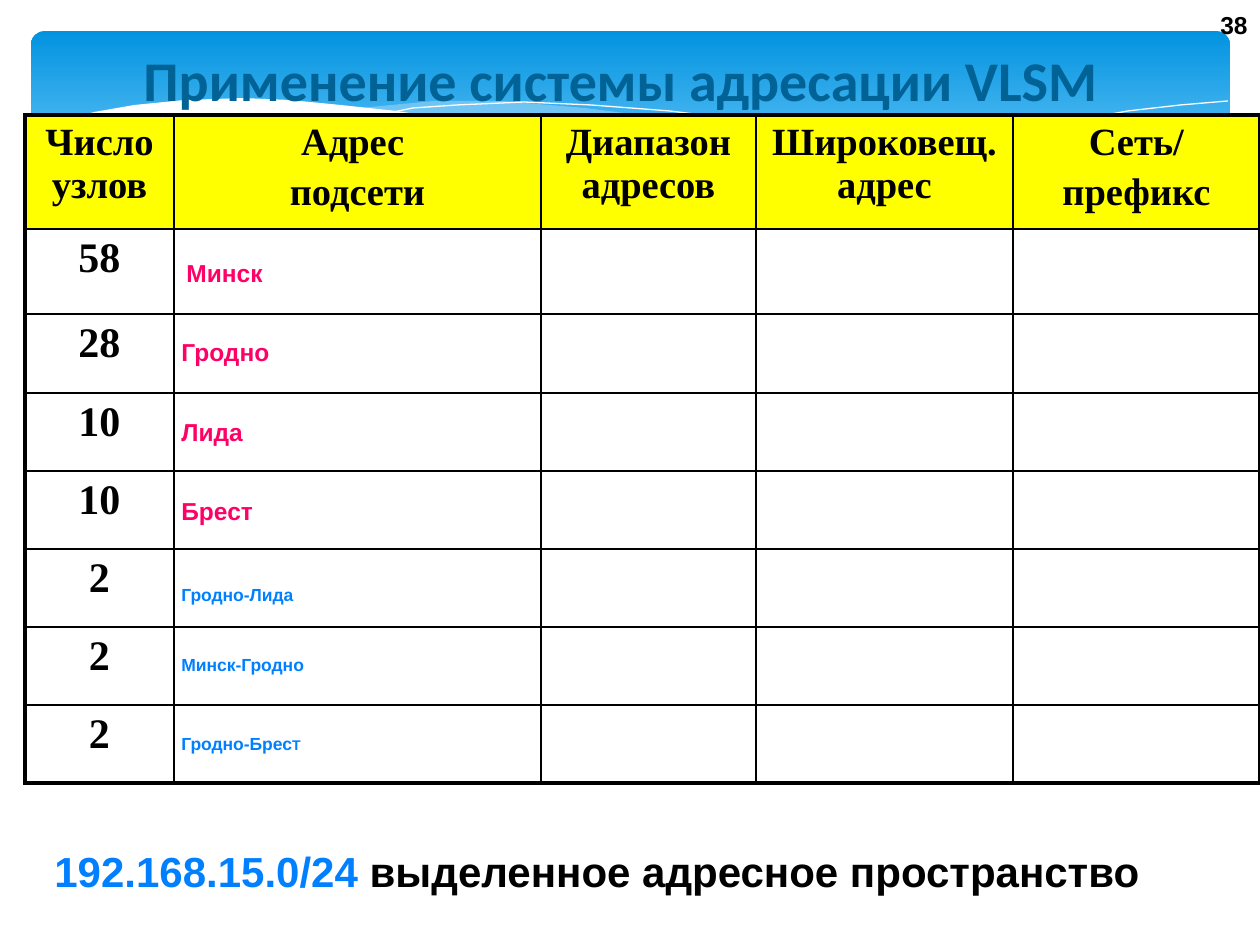
from dataclasses import dataclass
from lxml.etree import SubElement
from pptx import Presentation
from pptx.dml.color import RGBColor
from pptx.enum.shapes import MSO_SHAPE
from pptx.enum.text import MSO_ANCHOR, MSO_AUTO_SIZE, PP_ALIGN
from pptx.oxml.ns import qn
from pptx.util import Pt

UNIT = 914400 / 126
HUES = {
    "sky": "0293E0", "pale": "83D3FE", "mist": "C6E7FC", "white": "FFFFFF",
    "title": "016296", "black": "000000", "head": "FFFF00",
    "city": "FF0066", "link": "0080FF",
}
Point = tuple[int, int]


@dataclass
class Run:
    text: str
    size: float
    hue: str = "black"
    font: str = "Arial"


@dataclass
class Label:
    box: tuple[int, int, int, int]
    runs: list[Run]
    align: PP_ALIGN = PP_ALIGN.LEFT
    anchor: MSO_ANCHOR = MSO_ANCHOR.TOP


@dataclass
class Wave:
    points: list[Point]
    hue: str = "white"
    alpha: int = 100
    closed: bool = True


WAVES = [
    Wave([(1228, 118), (1160, 131), (1085, 149), (982, 173), (890, 192), (833, 202),
          (888, 209), (954, 214), (1026, 217), (1099, 213), (1160, 202), (1213, 185),
          (1230, 178), (1230, 118)], "mist", 29),
    Wave([(1125, 210), (1055, 202), (934, 179), (793, 146), (717, 129), (648, 116),
          (585, 108), (503, 101), (433, 101), (360, 108), (431, 118), (538, 139),
          (668, 170), (757, 189), (857, 205), (942, 214), (1017, 218), (1080, 215)],
         "mist", 40),
    Wave([(389, 113), (413, 108), (457, 105), (524, 102), (591, 105), (670, 111),
          (766, 123), (876, 144), (1002, 171), (1143, 209)], closed=False),
    Wave([(772, 190), (847, 170), (942, 147), (1053, 125), (1128, 111), (1181, 105),
          (1228, 101)], closed=False),
    Wave([(1231, 178), (1184, 194), (1133, 207), (1071, 214), (999, 215), (915, 210),
          (815, 197), (699, 175), (598, 152), (527, 135), (460, 121), (397, 111),
          (341, 105), (290, 100), (243, 98), (184, 100), (134, 105), (94, 112),
          (66, 121), (37, 131), (29, 135), (29, 282), (1231, 282)]),
]
HEADS = [["Число узлов"], ["Адрес ", "подсети"], ["Диапазон адресов"],
         ["Широковещ. адрес"], ["Сеть/", "префикс"]]
NODES = ["58", "28", "10", "10", "2", "2", "2"]
COLS = [149, 367, 215, 257, 247]
ROWS = [114, 85, 79] + [78] * 5
CITIES = [("Минск", 174, 252, 129), ("Гродно", 169, 331, 164),
          ("Лида", 169, 411, 164), ("Брест", 169, 490, 164)]
LINKS = [([Run("Гродно-Лида", 10, "link")], 578, 164),
         ([Run("Минск-Гродно", 10, "link")], 648, 164),
         ([Run("Гродно-Брес", 10, "link"), Run("Т", 8, "link")], 727, 174)]
LABELS = [
    Label((42, 839, 1176, 63), [Run("192.168.15.0/24", 24, "link"),
                                Run(" выделенное адресное пространство", 24)]),
    *[Label((x, y, w, 42), [Run(text, 14, "city")]) for text, x, y, w in CITIES],
    *[Label((169, y, w, 34), runs) for runs, y, w in LINKS],
    Label((1206, 0, 54, 50), [Run("38", 14)], PP_ALIGN.RIGHT, MSO_ANCHOR.MIDDLE),
]


def px(n: int) -> int:
    return round(n * UNIT)


def rgb(hue: str) -> RGBColor:
    return RGBColor.from_string(HUES[hue])


def put(item, values: dict) -> None:
    for name, value in values.items():
        setattr(item, name, value)


def write(para, runs: list[Run], align: PP_ALIGN) -> None:
    para.alignment = align
    for part in runs:
        run = para.add_run()
        run.text = part.text
        put(run.font, {"size": Pt(part.size), "name": part.font, "bold": True})
        run.font.color.rgb = rgb(part.hue)


def fill_text(shape, label: Label) -> None:
    put(shape, dict(zip(("left", "top", "width", "height"), map(px, label.box))))
    frame = shape.text_frame
    put(frame, {"word_wrap": True, "auto_size": MSO_AUTO_SIZE.NONE,
                "vertical_anchor": label.anchor})
    write(frame.paragraphs[0], label.runs, label.align)


def draw_band(shapes) -> None:
    band = shapes.add_shape(MSO_SHAPE.ROUNDED_RECTANGLE, *map(px, (31, 31, 1199, 197)))
    band.adjustments[0] = 0.07
    band.shadow.inherit = False
    band.line.fill.background()
    band.fill.gradient()
    band.fill.gradient_angle = 270
    for stop, hue, spot in zip(band.fill.gradient_stops, ("sky", "pale"), (0, 0.9)):
        stop.color.rgb = rgb(hue)
        stop.position = spot


def draw_wave(shapes, wave: Wave) -> None:
    path = shapes.build_freeform(*wave.points[0], scale=UNIT)
    path.add_line_segments(wave.points[1:], close=wave.closed)
    shape = path.convert_to_shape()
    shape.shadow.inherit = False
    if not wave.closed:
        shape.fill.background()
        shape.line.color.rgb = rgb(wave.hue)
        shape.line.width = Pt(0)
        return
    shape.line.fill.background()
    shape.fill.solid()
    shape.fill.fore_color.rgb = rgb(wave.hue)
    if wave.alpha < 100:
        tint = shape.element.spPr.find(".//" + qn("a:srgbClr"))
        SubElement(tint, qn("a:alpha"), val=str(wave.alpha * 1000))


def draw_edges(cell, outer: dict[str, bool]) -> None:
    props = cell._tc.get_or_add_tcPr()
    for spot, (side, thick) in enumerate(outer.items()):
        line = SubElement(props, qn("a:ln" + side), w=str(Pt(2.25 if thick else 1)))
        paint = SubElement(line, qn("a:solidFill"))
        SubElement(paint, qn("a:srgbClr"), val=HUES["black"])
        props.insert(spot, line)


def fill_cell(cell, lines: list[str], size: int) -> None:
    frame = cell.text_frame
    for n, text in enumerate(lines):
        para = frame.add_paragraph() if n else frame.paragraphs[0]
        if n:
            para.space_before = Pt(size * 0.2)
        write(para, [Run(text, size, font="Times New Roman")], PP_ALIGN.CENTER)


def draw_table(shapes) -> None:
    frame = shapes.add_table(len(ROWS), len(COLS), px(25), px(115),
                             px(sum(COLS)), px(sum(ROWS)))
    table = frame.table
    put(table, {"first_row": False, "horz_banding": False})
    for col, width in zip(table.columns, COLS):
        col.width = px(width)
    for row, height in zip(table.rows, ROWS):
        row.height = px(height)
    for r in range(len(ROWS)):
        for c in range(len(COLS)):
            cell = table.cell(r, c)
            if r == 0:
                cell.fill.solid()
                cell.fill.fore_color.rgb = rgb("head")
                fill_cell(cell, HEADS[c], 22)
            else:
                cell.fill.background()
                if c == 0:
                    fill_cell(cell, [NODES[r - 1]], 24)
            draw_edges(cell, {"L": c == 0, "R": c == len(COLS) - 1,
                              "T": r == 0, "B": r == len(ROWS) - 1})


def main() -> None:
    deck = Presentation()
    put(deck, {"slide_width": px(1260), "slide_height": px(945)})
    slide = deck.slides.add_slide(deck.slide_layouts[5])
    shapes = slide.shapes
    draw_band(shapes)
    for wave in WAVES:
        draw_wave(shapes, wave)
    title = shapes.title
    shapes.element.append(title.element)
    head = Run("Применение системы адресации VLSM", 32, "title", "Calibri")
    fill_text(title, Label((54, 55, 1134, 49), [head], PP_ALIGN.CENTER, MSO_ANCHOR.MIDDLE))
    draw_table(shapes)
    for label in LABELS:
        fill_text(shapes.add_textbox(0, 0, 0, 0), label)
    deck.save("out.pptx")


if __name__ == "__main__":
    main()
